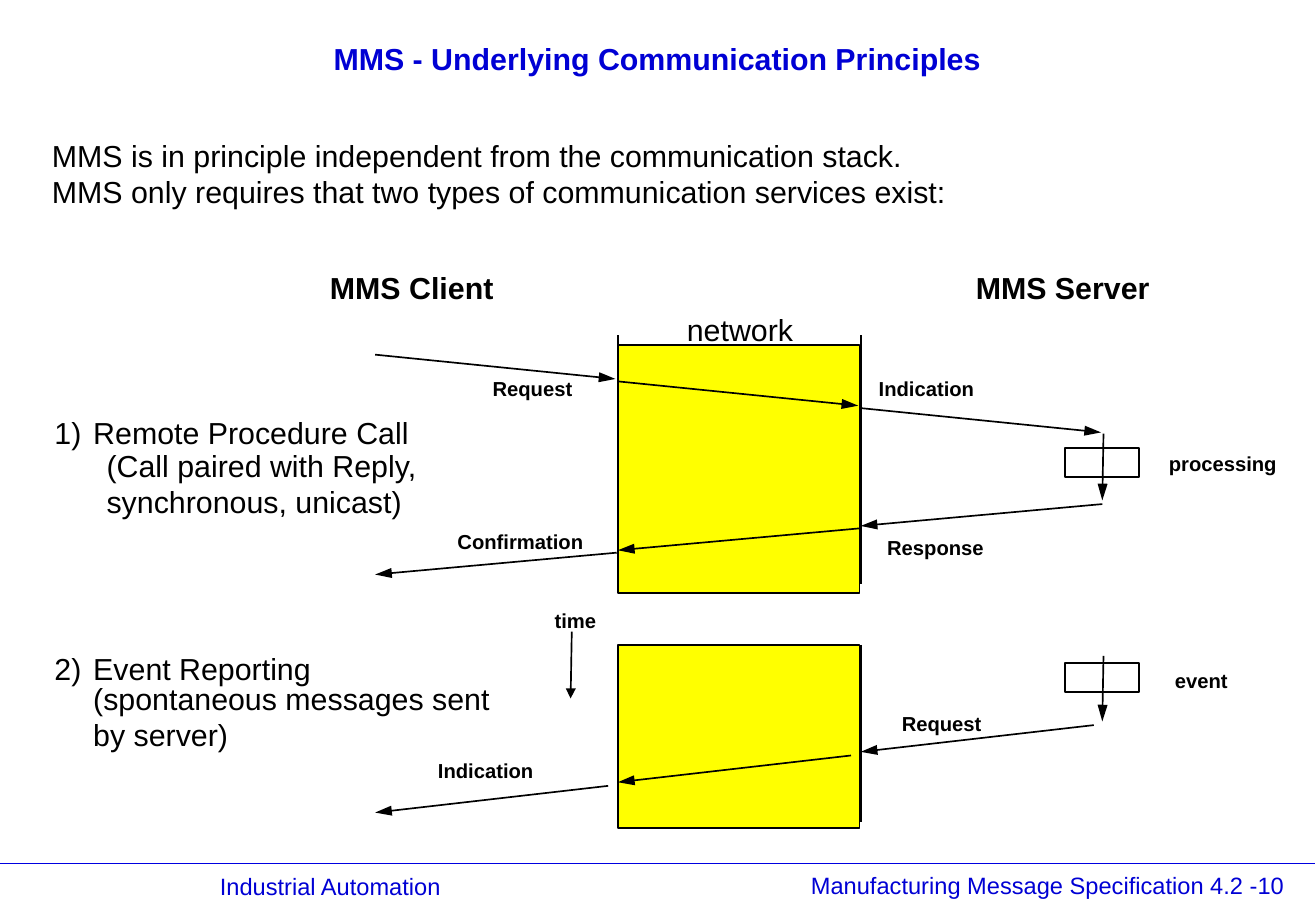
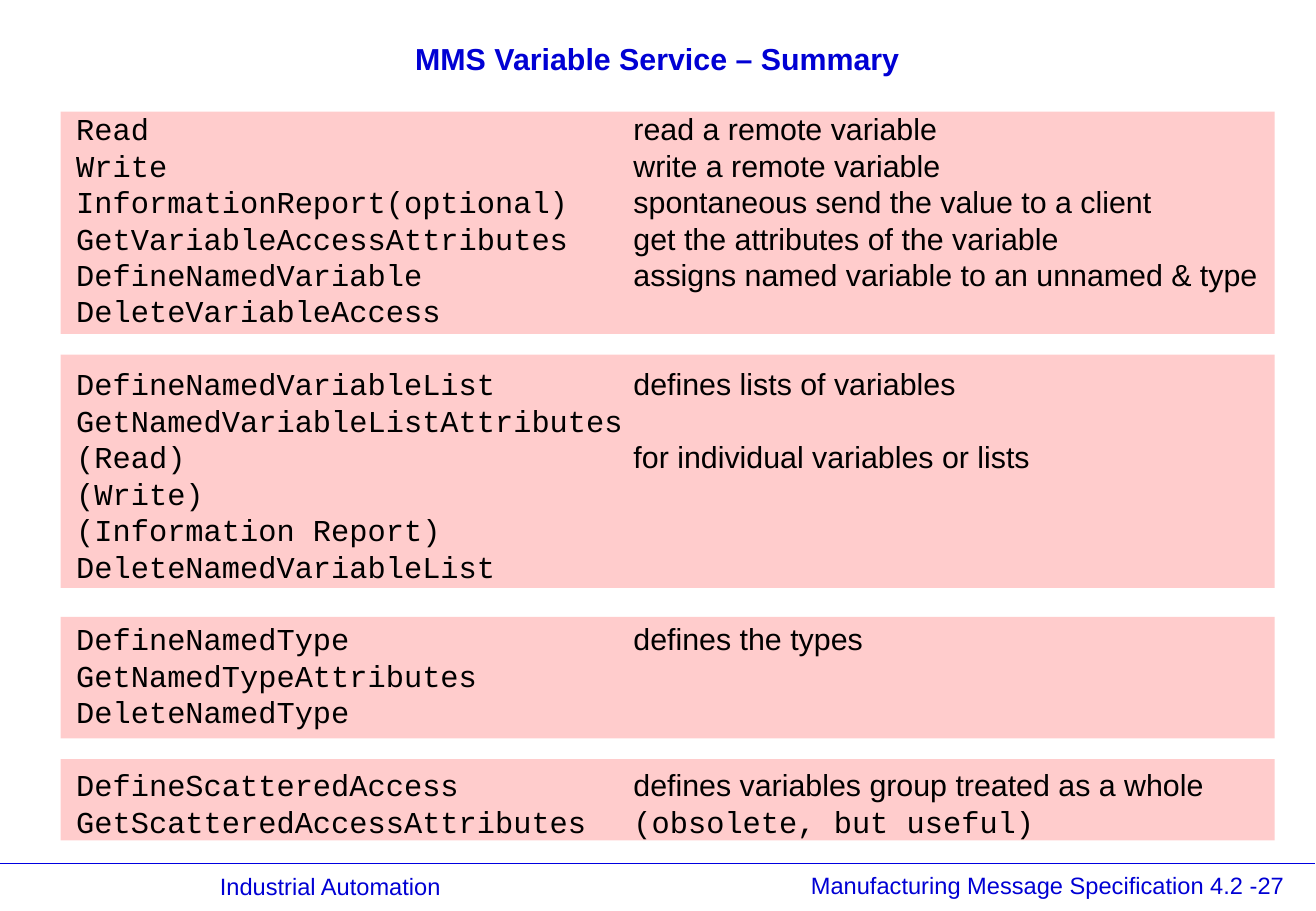
from lxml import etree
from pptx import Presentation
from pptx.dml.color import RGBColor
from pptx.enum import shapes, text
from pptx.oxml import ns
from pptx.util import Inches, Pt

COLORS = {"title": "0000D4", "rule": "0000E0", "ink": "000000",
          "network": "FFFF00", "band": "FFCCCC"}
SANS, MONO = "Arial", "Courier New"

# Slide 1: communication principles
PRINCIPLES = "MMS - Underlying Communication Principles"
BODY_TEXTS = [  # left, top, width, lines, bold
    (0.33, 1.08, 8.2, ["MMS is in principle independent from the communication stack.",
                       "MMS only requires that two types of communication services exist:"], False),
    (2.62, 2.17, 2, ["MMS Client"], True),
    (7.94, 2.17, 2, ["MMS Server"], True),
    (5.56, 2.51, 1.5, ["network"], False),
    (0.35, 3.36, 0.6, ["1)"], False),
    (0.67, 3.36, 3.2, ["Remote Procedure Call"], False),
    (0.78, 3.63, 3.2, ["(Call paired with Reply,", "synchronous, unicast)"], False),
    (0.35, 5.3, 0.6, ["2)"], False),
    (0.67, 5.3, 3.2, ["Event Reporting"], False),
    (0.67, 5.55, 3.9, ["(spontaneous messages sent", "by server)"], False),
]
LABEL_WIDTH = 1.3
ARROW_LABELS = [  # left, top, label
    (3.96, 3.05, "Request"), (7.14, 3.05, "Indication"),
    (3.67, 4.31, "Confirmation"), (7.21, 4.36, "Response"),
    (9.53, 3.67, "processing"), (4.47, 4.96, "time"),
    (3.51, 6.19, "Indication"), (7.33, 5.81, "Request"),
    (9.58, 5.45, "event"),
]
NETWORK_LEFT, NETWORK_RIGHT, NETWORK_WIDTH = 5.09, 7.09, 1.99
NETWORKS = [  # box top, box height, edge top, edge bottom
    (2.84, 2.04, 2.76, 4.81), (5.31, 1.51, 5.31, 6.77)]
SERVER_STEPS = [  # box top, arrow top, arrow bottom
    (3.69, 3.57, 4.12), (5.46, 5.4, 5.94)]
HOPS = 3
MESSAGES = [  # start, vector of one hop, step to the next hop
    ((3.09, 2.92), (1.98, 0.2), (2, 0.22)),
    ((9.08, 4.15), (-1.99, 0.18), (-2, 0.2)),
    ((9.01, 5.97), (-1.92, 0.22), (-2, 0.25)),
]

# Slide 2: variable services, (service, meaning, font of meaning)
SUMMARY = "MMS Variable Service – Summary"
SERVICE_GROUPS = [
    [("Read", "read a remote variable", SANS),
     ("Write", "write a remote variable", SANS),
     ("InformationReport(optional)", "spontaneous send the value to a client", SANS),
     ("GetVariableAccessAttributes", "get the attributes of the variable", SANS),
     ("DefineNamedVariable", "assigns named variable to an unnamed & type", SANS),
     ("DeleteVariableAccess", "", SANS)],
    [("DefineNamedVariableList", "defines lists of variables", SANS),
     ("GetNamedVariableListAttributes", "", SANS),
     ("(Read)", "for individual variables or lists", SANS),
     ("(Write)", "", SANS),
     ("(Information Report)", "", SANS),
     ("DeleteNamedVariableList", "", SANS)],
    [("DefineNamedType", "defines the types", SANS),
     ("GetNamedTypeAttributes", "", SANS),
     ("DeleteNamedType", "", SANS)],
    [("DefineScatteredAccess", "defines variables group treated as a whole", SANS),
     ("GetScatteredAccessAttributes", "(obsolete, but useful)", MONO)],
]
BANDS = [(0.92, 1.83), (2.92, 1.92), (5.08, 1), (6.25, 0.67)]  # top, height
MEANING_TAB = 4.59
SERVICE_LINE = Pt(21.6)


def rgb(name):
    return RGBColor.from_string(COLORS[name])


def style(font, size, color="ink", bold=False, face=SANS):
    font.size, font.bold, font.name = Pt(size), bold, face
    font.color.rgb = rgb(color)


def add_text(slide, left, top, width, height, lines, size, color="ink", bold=False,
             align=text.PP_ALIGN.LEFT, spacing=None, anchor=text.MSO_ANCHOR.TOP):
    box = slide.shapes.add_textbox(*map(Inches, (left, top, width, height)))
    frame = box.text_frame
    frame.word_wrap = True
    frame.vertical_anchor = anchor
    frame.text = "\n".join(lines)
    for paragraph in frame.paragraphs:
        paragraph.alignment, paragraph.line_spacing = align, spacing
        style(paragraph.font, size, color, bold)


def add_box(slide, left, top, width, height, fill=None, outlined=True):
    box = slide.shapes.add_shape(shapes.MSO_SHAPE.RECTANGLE,
                                 *map(Inches, (left, top, width, height)))
    box.shadow.inherit = False
    if fill:
        box.fill.solid()
        box.fill.fore_color.rgb = rgb(fill)
    else:
        box.fill.background()
    if outlined:
        box.line.color.rgb, box.line.width = rgb("ink"), Pt(1)
    else:
        box.line.fill.background()


def add_line(slide, start, end, color="ink", head=None):
    line = slide.shapes.add_connector(shapes.MSO_CONNECTOR.STRAIGHT,
                                      *map(Inches, (*start, *end)))
    line.line.color.rgb, line.line.width = rgb(color), Pt(1)
    if head:
        etree.SubElement(line.line._get_or_add_ln(), ns.qn("a:tailEnd"),
                         type="triangle", w="med", len=head)
    etree.SubElement(line._element.spPr, ns.qn("a:effectLst"))


def new_slide(deck, title, page):
    slide = deck.slides.add_slide(deck.slide_layouts[6])
    right, center = text.PP_ALIGN.RIGHT, text.PP_ALIGN.CENTER
    for place, words, size, bold, align in [
            ((5.84, 7.18, 4.84, 0.25), f"Manufacturing Message Specification 4.2 -{page}",
             14, False, right),
            ((0.21, 7.17, 3.52, 0.28), "Industrial Automation", 14, False, right),
            ((0.18, 0.22, 10.47, 0.56), title, 18, True, center)]:
        add_text(slide, *place, [words], size, "title", bold, align, 0.87,
                 text.MSO_ANCHOR.MIDDLE)
    add_line(slide, (0, 7.11), (10.83, 7.11), "rule")
    return slide


def build_principles(deck):
    slide = new_slide(deck, PRINCIPLES, 10)
    # Network boxes and their edges
    for top, height, edge_top, edge_bottom in NETWORKS:
        add_box(slide, NETWORK_LEFT, top, NETWORK_WIDTH, height, "network")
        for x in (NETWORK_LEFT, NETWORK_RIGHT):
            add_line(slide, (x, edge_top), (x, edge_bottom))
    # Server activity
    for top, arrow_top, arrow_bottom in SERVER_STEPS:
        add_box(slide, 8.77, top, 0.61, 0.24)
        add_line(slide, (9.09, arrow_top), (9.08, arrow_bottom), head="lg")
    # Messages, one arrow per hop
    for (x, y), (dx, dy), (step_x, step_y) in MESSAGES:
        for hop in range(HOPS):
            hop_x, hop_y = x + hop * step_x, y + hop * step_y
            add_line(slide, (hop_x, hop_y), (hop_x + dx, hop_y + dy), head="lg")
    add_line(slide, (4.71, 5.2), (4.7, 5.75), head="med")  # time axis
    # Wording
    for left, top, width, lines, bold in BODY_TEXTS:
        add_text(slide, left, top, width, 0.1 + 0.3 * len(lines), lines, 18, bold=bold)
    for left, top, label in ARROW_LABELS:
        add_text(slide, left, top, LABEL_WIDTH, 0.3, [label], 12, bold=True)


def build_summary(deck):
    slide = new_slide(deck, SUMMARY, 27)
    for top, height in BANDS:
        add_box(slide, 0.5, top, 10, height, "band", outlined=False)
    # Services in one column, meanings at the tab stop
    frame = slide.shapes.add_textbox(
        *map(Inches, (0.53, 0.86, 10.17, 6.1))).text_frame
    frame.word_wrap = True
    paragraph = None
    for group in SERVICE_GROUPS:
        for row, (service, meaning, face) in enumerate(group):
            first = paragraph is None
            paragraph = frame.paragraphs[0] if first else frame.add_paragraph()
            paragraph.line_spacing = SERVICE_LINE
            if row == 0 and not first:
                paragraph.space_before = SERVICE_LINE
            tabs = etree.SubElement(paragraph._p.get_or_add_pPr(), ns.qn("a:tabLst"))
            etree.SubElement(tabs, ns.qn("a:tab"), pos=str(Inches(MEANING_TAB)), algn="l")
            style(paragraph.font, 18, face=MONO)
            parts = [(service + "\t", MONO), (meaning, face)] if meaning else [(service, MONO)]
            for words, run_face in parts:
                run = paragraph.add_run()
                run.text = words
                style(run.font, 18, face=run_face)


def main():
    deck = Presentation()
    deck.slide_width, deck.slide_height = Inches(10.84), Inches(7.5)
    build_principles(deck)
    build_summary(deck)
    deck.save("out.pptx")


if __name__ == "__main__":
    main()
